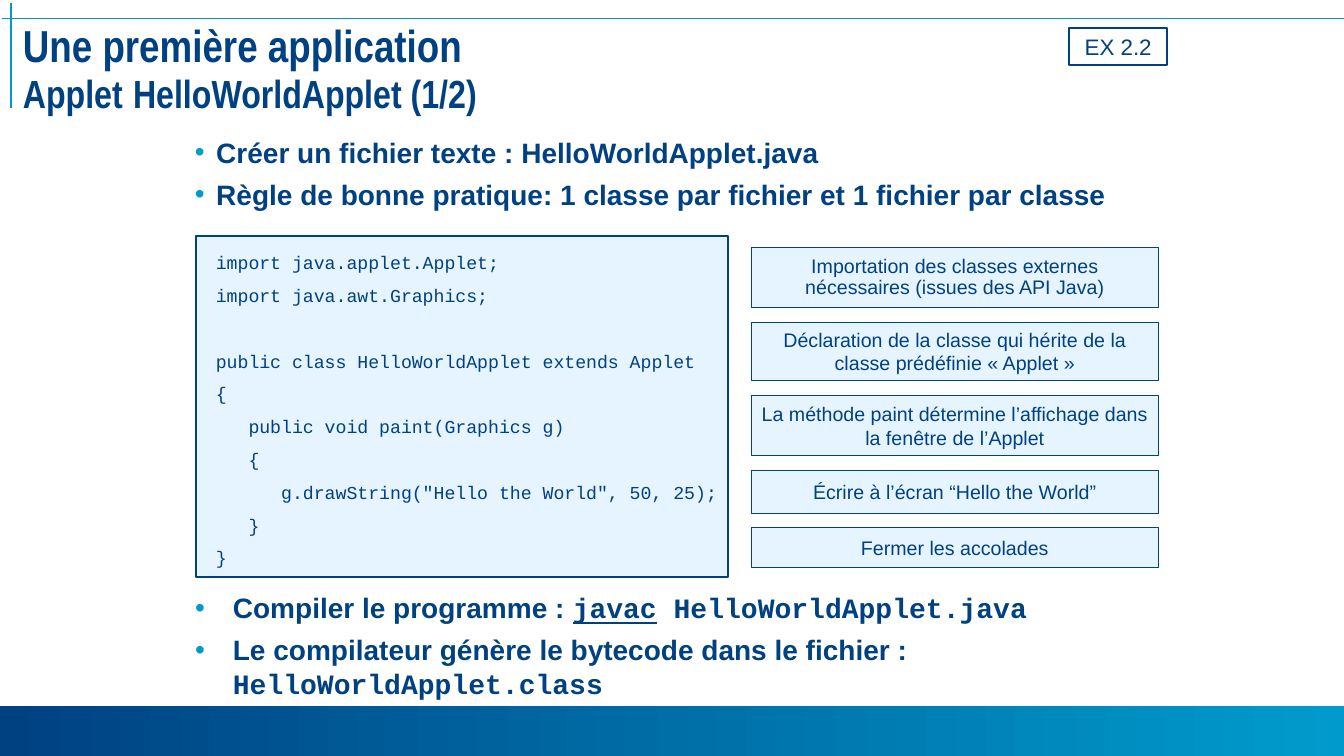
from dataclasses import dataclass, replace

from lxml.etree import SubElement
from pptx import Presentation
from pptx.dml.color import RGBColor as Rgb
from pptx.enum.shapes import MSO_CONNECTOR as Conn, MSO_SHAPE as Form
from pptx.enum.text import MSO_ANCHOR as Anchor, PP_ALIGN as Align
from pptx.oxml.ns import qn
from pptx.util import Cm, Pt

HEX = {"navy": "004182", "cyan": "009BCC", "pale": "E6F4FF"}
MONO = "Courier New"
GAP = 0.37


@dataclass(frozen=True)
class Span:
    text: str
    size: float = 20
    face: str = "Arial"
    bold: bool = False
    under: bool = False


@dataclass(frozen=True)
class Style:
    align: Align = Align.LEFT
    lead: float | None = None
    before: float = 0
    inset: float = 0
    hang: float = 0
    dot: bool = False


@dataclass(frozen=True)
class Area:
    left: float
    top: float
    width: float
    height: float


@dataclass(frozen=True)
class Note:
    text: str
    height: float
    lead: float | None = None


NOTES = [
    Note("Importation des classes externes nécessaires (issues des API Java)", 1.52, 0.9),
    Note("Déclaration de la classe qui hérite de la classe prédéfinie « Applet »", 1.47),
    Note("La méthode paint détermine l’affichage dans la fenêtre de l’Applet", 1.53),
    Note("Écrire à l’écran “Hello the World”", 1.07),
    Note("Fermer les accolades", 0.99),
]

CODE = """import java.applet.Applet;
import java.awt.Graphics;

public class HelloWorldApplet extends Applet
{
   public void paint(Graphics g)
   {
      g.drawString("Hello the World", 50, 25);
   }
}"""

HEAD = Span("", 32, "Arial Narrow", True)
TITLE = [
    replace(HEAD, text="Une première application\v"),
    replace(HEAD, text="Applet", size=28),
    replace(HEAD, text=" "),
    replace(HEAD, text="HelloWorldApplet (1/2)", size=28),
]
INTRO = [
    [Span("Créer un fichier texte : HelloWorldApplet.java", bold=True)],
    [Span("Règle de bonne pratique: 1 classe par fichier et 1 fichier par classe", bold=True)],
]
BUILD = [
    [
        Span("Compiler le programme : ", bold=True),
        Span("javac", face=MONO, bold=True, under=True),
        Span(" HelloWorldApplet.java", face=MONO, bold=True),
    ],
    [
        Span("Le compilateur génère le bytecode dans le fichier : ", bold=True),
        Span("HelloWorldApplet.class", face=MONO, bold=True),
    ],
]
RULES = [(0.05, 0.46, 33.87, 0.46), (0.28, 0.08, 0.28, 2.72)]


def tint(name: str) -> Rgb:
    return Rgb.from_string(HEX[name])


def place(area: Area) -> list[Cm]:
    return [Cm(n) for n in (area.left, area.top, area.width, area.height)]


def add_dot(props) -> None:
    color = SubElement(props, qn("a:buClr"))
    SubElement(color, qn("a:srgbClr"), val=HEX["cyan"])
    SubElement(props, qn("a:buFont"), typeface="Arial")
    SubElement(props, qn("a:buChar"), char="•")


def write(frame, rows: list[list[Span]], style: Style) -> None:
    frame.word_wrap = True
    for num, row in enumerate(rows):
        para = frame.add_paragraph() if num else frame.paragraphs[0]
        props = para._p.get_or_add_pPr()
        props.set("marL", str(Cm(style.inset)))
        props.set("indent", str(-Cm(style.hang)))
        if style.dot:
            add_dot(props)
        para.alignment = style.align
        if style.lead:
            para.line_spacing = style.lead
        if num:
            para.space_before = Pt(style.before)
        para.text = row[0].text
        for span in row[1:]:
            para.add_run().text = span.text
        for run, span in zip(para.runs, row):
            font = run.font
            font.name, font.size = span.face, Pt(span.size)
            font.bold, font.underline = span.bold, span.under
            font.color.rgb = tint("navy")
        if not para.runs:
            end = SubElement(para._p, qn("a:endParaRPr"), sz=str(row[0].size * 100))
            SubElement(end, qn("a:latin"), typeface=row[0].face)


def add_box(slide, area: Area, fill: str | None, weight: float):
    box = slide.shapes.add_shape(Form.RECTANGLE, *place(area))
    box.shadow.inherit = False
    if fill:
        box.fill.solid()
        box.fill.fore_color.rgb = tint(fill)
    else:
        box.fill.background()
    box.line.color.rgb = tint("navy")
    box.line.width = Pt(weight)
    box.text_frame.vertical_anchor = Anchor.MIDDLE
    return box


def add_text(slide, area: Area, rows: list[list[Span]], style: Style):
    box = slide.shapes.add_textbox(*place(area))
    write(box.text_frame, rows, style)
    return box


def add_bar(slide) -> None:
    bar = slide.shapes.add_shape(Form.RECTANGLE, *place(Area(0, 17.8, 33.87, 1.25)))
    bar.shadow.inherit = False
    bar.line.fill.background()
    bar.fill.gradient()
    bar.fill.gradient_angle = 0
    for stop, name in zip(bar.fill.gradient_stops, ("navy", "cyan")):
        stop.color.rgb = tint(name)


def add_rule(slide, ends: tuple[float, ...]) -> None:
    rule = slide.shapes.add_connector(Conn.STRAIGHT, *[Cm(n) for n in ends])
    rule.line.color.rgb = tint("cyan")
    rule.line.width = Pt(1)
    SubElement(rule._element.spPr, qn("a:effectLst"))


def add_code(slide) -> None:
    box = add_box(slide, Area(4.93, 5.94, 13.41, 8.61), "pale", 1.5)
    frame = box.text_frame
    frame.vertical_anchor = Anchor.TOP
    frame.margin_left = frame.margin_right = 0
    rows = [[Span(line, 13, MONO)] for line in CODE.split("\n")]
    write(frame, rows, Style(lead=1.5, inset=0.51))


def add_notes(slide) -> None:
    top = 6.23
    for note in NOTES:
        box = add_box(slide, Area(18.93, top, 10.27, note.height), "pale", 0.75)
        write(box.text_frame, [[Span(note.text, 14)]], Style(Align.CENTER, note.lead))
        top += note.height + GAP


def main() -> None:
    deck = Presentation()
    deck.slide_width, deck.slide_height = Cm(33.87), Cm(19.05)
    slide = deck.slides.add_slide(deck.slide_layouts[6])
    add_bar(slide)
    for ends in RULES:
        add_rule(slide, ends)
    title = add_text(slide, Area(0.33, 0.52, 33.3, 2.57), [TITLE], Style(lead=0.85))
    title.text_frame.vertical_anchor = Anchor.MIDDLE
    bullet = Style(before=6, inset=0.54, hang=0.54, dot=True)
    add_text(slide, Area(4.66, 3.28, 24.49, 2.26), INTRO, bullet)
    add_notes(slide)
    add_code(slide)
    wide = replace(bullet, inset=0.95, hang=0.95)
    add_text(slide, Area(4.67, 14.76, 24.49, 2.74), BUILD, wide)
    tag = add_box(slide, Area(26.95, 0.71, 2.46, 0.94), None, 1.5)
    write(tag.text_frame, [[Span("EX 2.2", 16)]], Style(Align.CENTER))
    deck.save("out.pptx")


if __name__ == "__main__":
    main()
